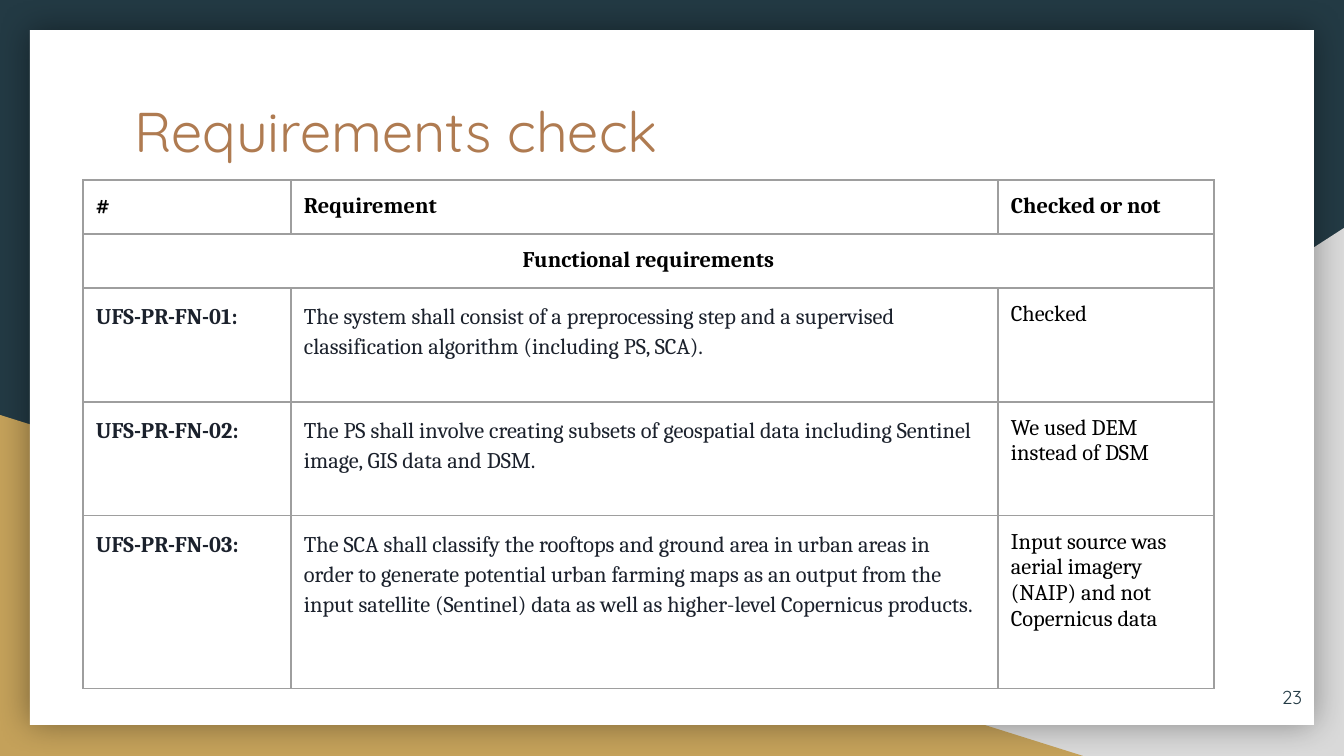
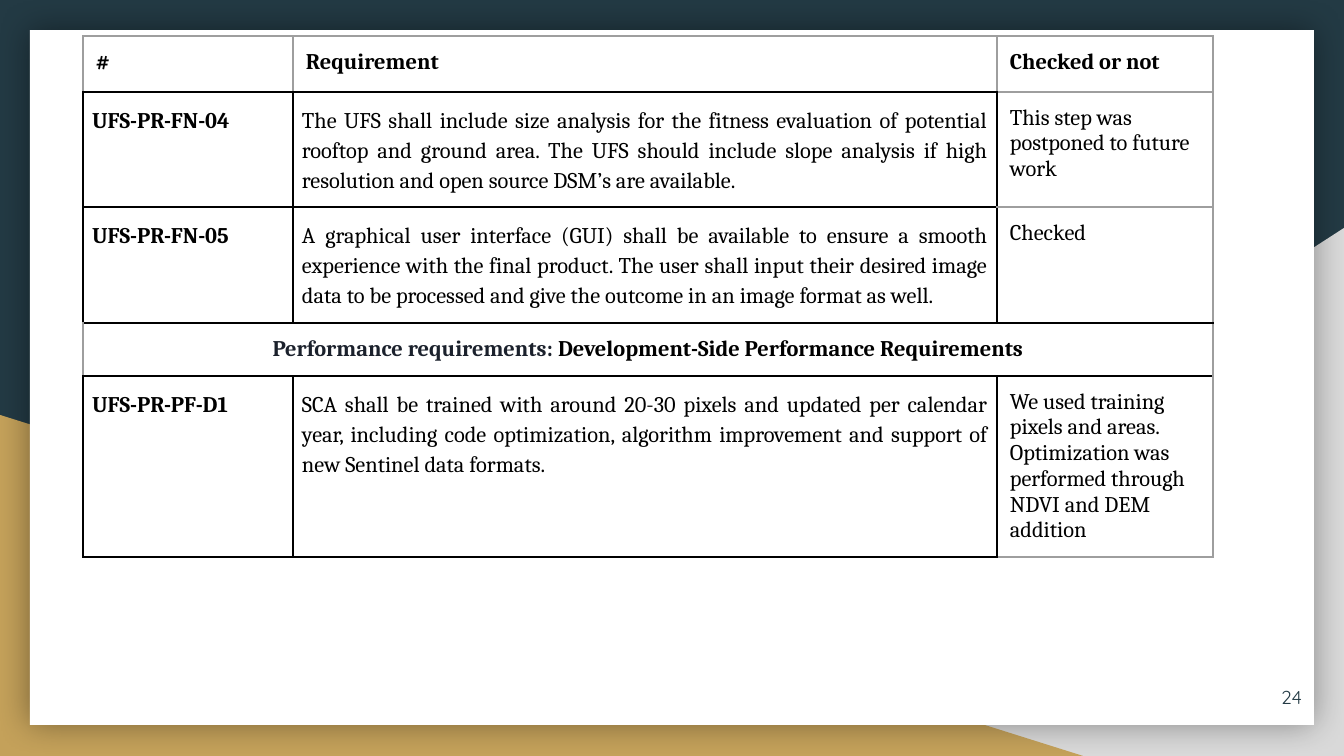
import pptx
import pptx.util
import pptx.dml.color
import pptx.enum.shapes
import pptx.enum.text
import pptx.oxml
import pptx.oxml.ns

RGB = pptx.dml.color.RGBColor
Pt = pptx.util.Pt
SHAPE = pptx.enum.shapes.MSO_SHAPE
ALIGN = pptx.enum.text.PP_ALIGN
ANCHOR = pptx.enum.text.MSO_ANCHOR

NAVY = RGB(0x23, 0x3A, 0x44)
SAND = RGB(0xC4, 0xA1, 0x5A)
SILVER = RGB(0xD9, 0xD9, 0xD9)
WHITE = RGB(0xFF, 0xFF, 0xFF)
BROWN = RGB(0xAF, 0x7B, 0x51)
BLACK = RGB(0, 0, 0)
INK = RGB(0x1B, 0x21, 0x2C)
GRAY = RGB(0x9E, 0x9E, 0x9E)
EDGE = {"g": GRAY, "k": BLACK}

HEAD_FONT = "Quicksand"
BODY_FONT = "Cambria"
TITLE_ONLY, BLANK = 5, 6
PAD = 13
HEADER = ["#", "Requirement", "Checked or not"]


def px(n):
    return pptx.util.Emu(round(n * 914400 / 134.4))


def xml(text):
    return pptx.oxml.parse_xml(text.replace(">", f" {pptx.oxml.ns.nsdecls('a')}>", 1))


class Deck:
    def __init__(self):
        self.prs = pptx.Presentation()
        self.prs.slide_width, self.prs.slide_height = px(1344), px(756)
        self.slide = None

    def page(self, number, title=None):
        layout = self.prs.slide_layouts[TITLE_ONLY if title else BLANK]
        self.slide = self.prs.slides.add_slide(layout)
        if title:
            self.title(title)
        box = self.slide.shapes.add_textbox(*map(px, (1234, 668, 81, 58)))
        self.text(box.text_frame, str(number), HEAD_FONT, 10, NAVY, ALIGN.RIGHT, ANCHOR.MIDDLE)

    def title(self, words):
        box = self.slide.shapes.title
        box.left, box.top, box.width, box.height = map(px, (121, 83, 1103, 140))
        self.text(box.text_frame, words, HEAD_FONT, 30, BROWN, ALIGN.LEFT, ANCHOR.TOP)

    def text(self, frame, words, font, size, color, align, anchor):
        frame.word_wrap = True
        frame.auto_size = pptx.enum.text.MSO_AUTO_SIZE.NONE
        frame.vertical_anchor = anchor
        frame.margin_left = frame.margin_right = px(PAD)
        frame.margin_top = frame.margin_bottom = px(PAD)
        self.para(frame.paragraphs[0], words, font, size, color, align)

    def para(self, para, words, font, size, color, align, bold=False):
        """Fill a paragraph from a string or from (string, colour) pairs."""
        runs = [(words, color)] if isinstance(words, str) else words
        for part, tint in runs:
            run = para.add_run()
            run.text = part
            run.font.color.rgb = tint
        para.alignment = align
        para.font.name, para.font.size, para.font.bold = font, Pt(size), bold

    def shape(self, kind, box, color):
        form = self.slide.shapes.add_shape(kind, *map(px, box))
        form.shadow.inherit = False
        form.fill.solid()
        form.fill.fore_color.rgb = color
        form.line.fill.background()
        return form

    def backdrop(self):
        """Draw the bands and the card, then hand them to the slide master."""
        master = self.prs.slide_master
        master.background.fill.solid()
        master.background.fill.fore_color.rgb = NAVY
        right = self.shape(SHAPE.RIGHT_TRIANGLE, (527, 228, 817, 528), SILVER)
        right.element.spPr.get_or_add_xfrm().set("flipH", "1")
        left = self.shape(SHAPE.RIGHT_TRIANGLE, (0, 415, 1083, 341), SAND)
        card = self.shape(SHAPE.RECTANGLE, (30, 30, 1284, 695), WHITE)
        glow = card.element.spPr.find(pptx.oxml.ns.qn("a:effectLst"))
        glow.append(xml(
            f'<a:outerShdw blurRad="{Pt(18)}" dist="0" dir="0" algn="ctr" rotWithShape="0">'
            '<a:srgbClr val="000000"><a:alpha val="40000"/></a:srgbClr></a:outerShdw>'))
        for key, form in enumerate((right, left, card), 20):
            form.element.nvSpPr.cNvPr.id = key
            master.shapes.element.append(form.element)

    def grid(self, top, cols, heights, rows):
        size = (83, top, sum(cols), sum(heights))
        table = self.slide.shapes.add_table(len(rows), len(cols), *map(px, size)).table
        table.first_row = table.horz_banding = False
        for col, width in zip(table.columns, cols):
            col.width = px(width)
        for row, height in zip(table.rows, heights):
            row.height = px(height)
        return table

    def cell(self, cell, words, color=BLACK, bold=False, align=ALIGN.LEFT,
             side=PAD, spacing=None, after=0):
        cell.margin_left = cell.margin_right = px(side)
        cell.margin_top = cell.margin_bottom = px(PAD)
        para = cell.text_frame.paragraphs[0]
        self.para(para, words, BODY_FONT, 12, color, align, bold)
        if spacing:
            para.line_spacing = spacing
        if after:
            para.space_after = Pt(after)

    def edges(self, cell, code, widths=(0.75,) * 4):
        """Colour the left, right, top and bottom edges by a four-letter code."""
        cell.fill.background()
        props = cell._tc.get_or_add_tcPr()
        for i, (side, key, width) in enumerate(zip("LRTB", code, widths)):
            props.insert(i, xml(
                f'<a:ln{side} w="{Pt(width)}"><a:solidFill><a:srgbClr val="{EDGE[key]}"/>'
                f'</a:solidFill></a:ln{side}>'))

    def checks(self, top, cols, heights, rows, codes, widths, **body):
        """Lay out a requirements table; a row with one entry spans all columns."""
        table = self.grid(top, cols, heights, rows)
        for r, row in enumerate(rows):
            for c in range(len(cols)):
                self.edges(table.cell(r, c), codes[r][c], widths[r])
            if len(row) == 1:
                table.cell(r, 0).merge(table.cell(r, len(cols) - 1))
                self.cell(table.cell(r, 0), row[0], bold=True, align=ALIGN.CENTER)
                continue
            for c, words in enumerate(row):
                style = body if r and c < 2 else {}
                self.cell(table.cell(r, c), words, bold=r == 0 or c == 0, **style)


def main():
    deck = Deck()
    thin = (0.75,) * 4

    deck.page(23, "Requirements check")
    deck.backdrop()
    rows = [
        HEADER,
        ["Functional requirements"],
        ["UFS-PR-FN-01:",
         "The system shall consist of a preprocessing step and a supervised "
         "classification algorithm (including PS, SCA).",
         "Checked"],
        ["UFS-PR-FN-02:",
         "The PS shall involve creating subsets of geospatial data including "
         "Sentinel image, GIS data and DSM.",
         "We used DEM instead of DSM"],
        ["UFS-PR-FN-03:",
         "The SCA shall classify the rooftops and ground area in urban areas in "
         "order to generate potential urban farming maps as an output from the "
         "input satellite (Sentinel) data as well as higher-level Copernicus products.",
         "Input source was aerial imagery (NAIP) and not Copernicus data"],
    ]
    deck.checks(180, (208, 707, 216), (54, 54, 114, 114, 173), rows,
                [["gggg"] * 3] * 5, [thin] * 5, color=INK, spacing=1.15, after=16)

    deck.page(24)
    rows = [
        HEADER,
        ["UFS-PR-FN-04",
         "The UFS shall include size analysis for the fitness evaluation of "
         "potential rooftop and ground area. The UFS should include slope analysis "
         "if high resolution and open source DSM’s are available.",
         "This step was postponed to future work"],
        ["UFS-PR-FN-05",
         "A graphical user interface (GUI) shall be available to ensure a smooth "
         "experience with the final product. The user shall input their desired "
         "image data to be processed and give the outcome in an image format as well.",
         "Checked"],
        [[("Performance requirements: ", INK),
          ("Development-Side Performance Requirements", BLACK)]],
        ["UFS-PR-PF-D1",
         "SCA shall be trained with around 20-30 pixels and updated per calendar "
         "year, including code optimization, algorithm improvement and support of "
         "new Sentinel data formats.",
         "We used training pixels and areas. Optimization was performed through "
         "NDVI and DEM addition"],
    ]
    plain = ["kkkk", "kkkk", "kggg"]
    codes = [["gggk", "gggk", "gggg"], plain, plain, ["ggkk"] * 3,
             ["kkkk", "kkkk", "kgkg"]]
    widths = [thin] * 3 + [(0.75, 0.75, 0.75, 1), (1, 1, 1, 1)]
    deck.checks(36, (210, 704, 216), (56, 115, 116, 53, 181), rows, codes, widths,
                align=ALIGN.JUSTIFY, side=9, spacing=1.15, after=12)

    deck.prs.save("out.pptx")


if __name__ == "__main__":
    main()
